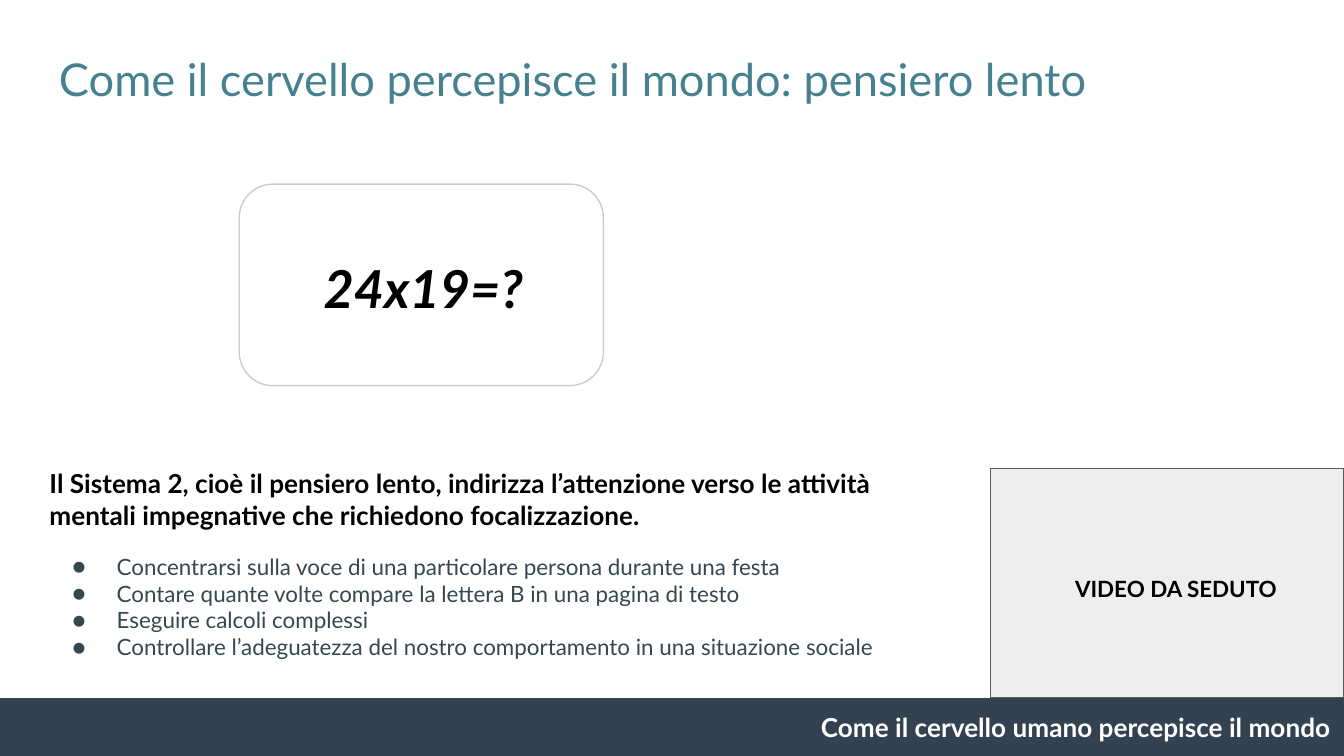
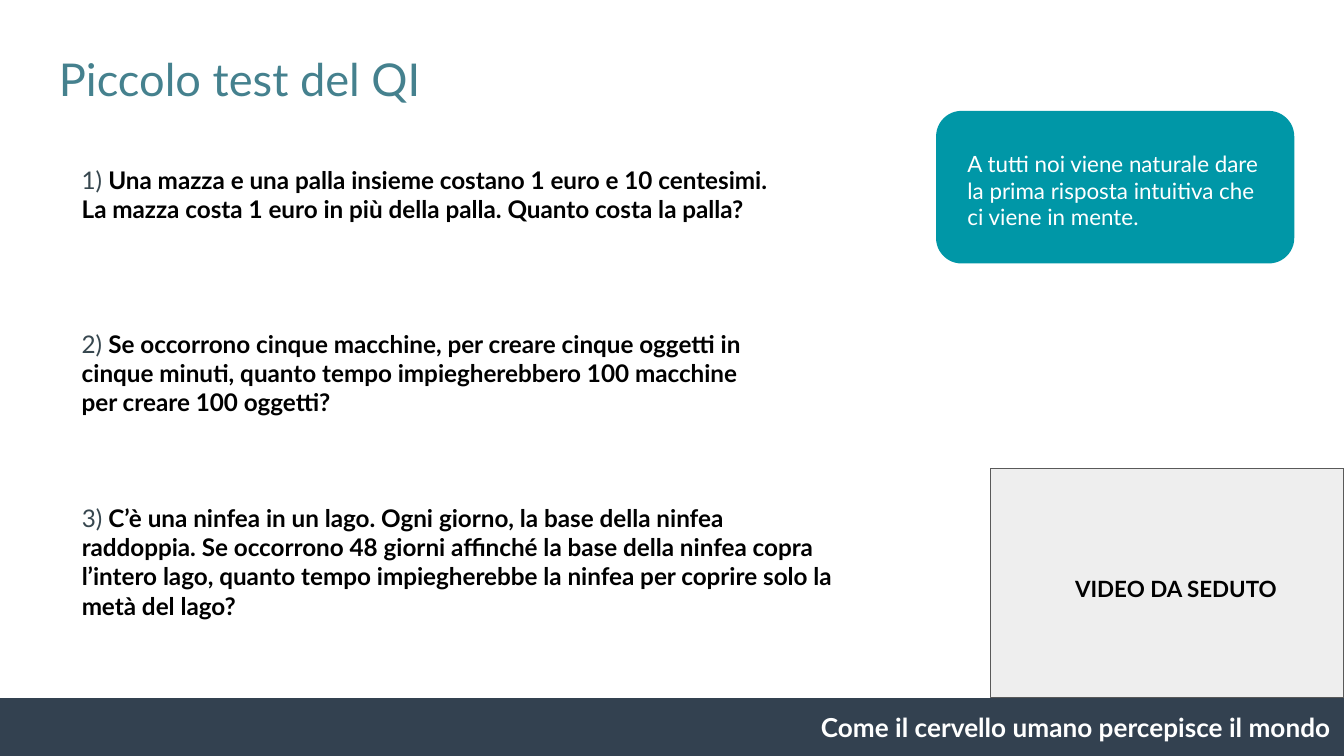
from collections import namedtuple

from lxml.etree import SubElement
from pptx import Presentation
from pptx.dml.color import RGBColor
from pptx.enum.shapes import MSO_SHAPE as Shape
from pptx.enum.text import PP_ALIGN as Align
from pptx.oxml.ns import qn
from pptx.util import Pt

PX = 4572  # 200 px to the inch
FONT = "Lato"
COLORS = {
    "title": "45818E",
    "text": "000000",
    "muted": "37474F",
    "white": "FFFFFF",
    "band": "334150",
    "video": "EEEEEE",
    "video_line": "595959",
    "card_line": "CCCCCC",
    "hint": "0097A7",
}

Box = namedtuple("Box", "x y w h")
SLIDE = Box(0, 0, 2000, 1125)
TITLE = Box(68, 56, 1864, 126)
FOOTER = Box(-4, 1039, 2004, 86)
VIDEO = Box(1474, 697, 526, 341)


def color(key):
    return RGBColor.from_string(COLORS[key])


def emu(box):
    return [side * PX for side in box]


def inside(box, dx, dy, w, h):
    return Box(box.x + dx, box.y + dy, w, h)


# Basic parts
def add_panel(slide, kind, box, fill, line=None):
    panel = slide.shapes.add_shape(kind, *emu(box))
    panel.shadow.inherit = False
    panel.fill.solid()
    panel.fill.fore_color.rgb = color(fill)
    if line:
        panel.line.color.rgb = color(line)
        panel.line.width = Pt(0.75)
    else:
        panel.line.fill.background()


def add_frame(slide, box):
    frame = slide.shapes.add_textbox(*emu(box)).text_frame
    frame.word_wrap = True
    frame.margin_left = frame.margin_right = 20 * PX
    frame.margin_top = frame.margin_bottom = 20 * PX
    return frame


def style(paragraph, size, ink=None, bold=False, italic=False, align=Align.LEFT):
    paragraph.alignment = align
    font = paragraph.font
    font.name, font.size = FONT, Pt(size)
    if ink:
        font.color.rgb = color(ink)
        font.bold, font.italic = bold, italic


def add_text(slide, box, text, size, ink, **look):
    frame = add_frame(slide, box)
    paragraph = frame.paragraphs[0]
    paragraph.text = text
    style(paragraph, size, ink, **look)
    return frame


def add_bullet(paragraph, ink):
    props = paragraph._p.get_or_add_pPr()
    props.set("marL", str(100 * PX))
    props.set("indent", str(-66 * PX))
    tint = SubElement(props, qn("a:buClr"))
    SubElement(tint, qn("a:srgbClr")).set("val", COLORS[ink])
    SubElement(props, qn("a:buFont")).set("typeface", FONT)
    SubElement(props, qn("a:buChar")).set("char", "●")


# Regions shared by the slides
def add_footer(slide, box):
    add_panel(slide, Shape.RECTANGLE, box, "band")
    add_text(slide, inside(box, 980, 0, 1024, 88),
             "Come il cervello umano percepisce il mondo",
             14, "white", bold=True, align=Align.RIGHT)


def add_video(slide, box):
    add_panel(slide, Shape.RECTANGLE, box, "video", "video_line")
    add_text(slide, inside(box, 57, 139, 438, 126), "VIDEO DA SEDUTO",
             12, "text", bold=True, align=Align.CENTER)


def new_slide(deck, title):
    slide = deck.slides.add_slide(deck.slide_layouts[6])
    add_text(slide, TITLE, title, 24.2, "title")
    add_footer(slide, FOOTER)
    add_video(slide, VIDEO)
    return slide


# Regions of single slides
def add_sum_card(slide, box, sum_text):
    add_panel(slide, Shape.ROUNDED_RECTANGLE, box, "white", "card_line")
    add_text(slide, inside(box, -116, 88, 780, 134), sum_text, 28, "text",
             bold=True, italic=True, align=Align.CENTER)


def add_explanation(slide, box, lead, examples):
    frame = add_text(slide, box, lead, 14, "text", bold=True)
    for index, example in enumerate(examples):
        paragraph = frame.add_paragraph()
        paragraph.text = example
        add_bullet(paragraph, "muted")
        if index == 0:
            paragraph.space_before = Pt(12)
        style(paragraph, 12, "muted")


def add_question(slide, box, number, question):
    paragraph = add_frame(slide, box).paragraphs[0]
    style(paragraph, 13)
    for text, ink, bold in ((f"{number}) ", "muted", False), (question, "text", True)):
        run = paragraph.add_run()
        run.text = text
        run.font.color.rgb = color(ink)
        run.font.bold = bold


def add_hint(slide, box, hint):
    add_panel(slide, Shape.ROUNDED_RECTANGLE, box, "hint")
    add_text(slide, inside(box, 27, 38, 484, 162), hint, 12, "white")


# Slides
def slow_thinking_slide(deck):
    slide = new_slide(deck, "Come il cervello percepisce il mondo: pensiero lento")
    add_sum_card(slide, Box(356, 274, 542, 300), "24x19=?")
    add_explanation(
        slide, Box(54, 676, 1306, 330),
        "Il Sistema 2, cioè il pensiero lento, indirizza l’attenzione verso le "
        "attività mentali impegnative che richiedono focalizzazione.",
        ["Concentrarsi sulla voce di una particolare persona durante una festa",
         "Contare quante volte compare la lettera B in una pagina di testo",
         "Eseguire calcoli complessi",
         "Controllare l’adeguatezza del nostro comportamento in una situazione sociale"])


def iq_test_slide(deck):
    slide = new_slide(deck, "Piccolo test del QI")
    questions = [
        (Box(102, 226, 1092, 128),
         "Una mazza e una palla insieme costano 1 euro e 10 centesimi. "
         "La mazza costa 1 euro in più della palla. Quanto costa la palla?"),
        (Box(102, 470, 1072, 172),
         "Se occorrono cinque macchine, per creare cinque oggetti in cinque minuti, "
         "quanto tempo impiegherebbero 100 macchine per creare 100 oggetti?"),
        (Box(102, 729, 1158, 216),
         "C’è una ninfea in un lago. Ogni giorno, la base della ninfea raddoppia. "
         "Se occorrono 48 giorni affinché la base della ninfea copra l’intero lago, "
         "quanto tempo impiegherebbe la ninfea per coprire solo la metà del lago?"),
    ]
    for number, (box, question) in enumerate(questions, start=1):
        add_question(slide, box, number, question)
    add_hint(slide, Box(1393, 165, 533, 227),
             "A tutti noi viene naturale dare la prima risposta intuitiva "
             "che ci viene in mente.")


def main():
    deck = Presentation()
    deck.slide_width, deck.slide_height = SLIDE.w * PX, SLIDE.h * PX
    slow_thinking_slide(deck)
    iq_test_slide(deck)
    deck.save("out.pptx")


if __name__ == "__main__":
    main()
